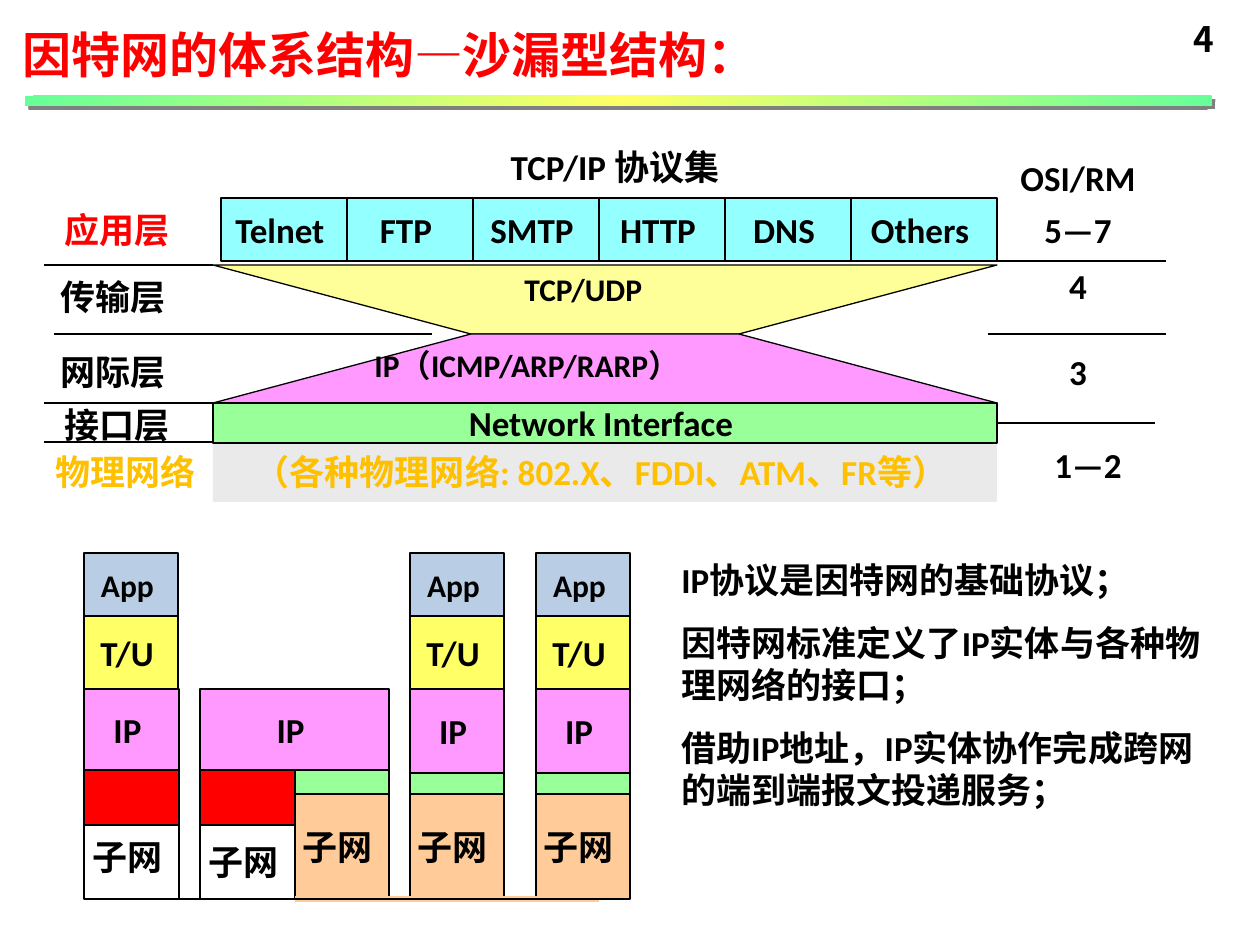
from dataclasses import dataclass
from typing import Optional

from lxml.etree import SubElement
from pptx import Presentation
from pptx.dml.color import RGBColor
from pptx.enum.shapes import MSO_CONNECTOR, MSO_SHAPE
from pptx.enum.text import MSO_ANCHOR, MSO_AUTO_SIZE, PP_ALIGN
from pptx.oxml import parse_xml
from pptx.oxml.ns import nsdecls, qn
from pptx.util import Pt

UNIT = 914400 / 126
LATIN = "Calibri"
HAN = "Noto Sans CJK SC"
BLACK = RGBColor(0x00, 0x00, 0x00)
WHITE = RGBColor(0xFF, 0xFF, 0xFF)
RED = RGBColor(0xFF, 0x00, 0x00)
GOLD = RGBColor(0xFF, 0xC0, 0x00)
CYAN = RGBColor(0x93, 0xFF, 0xFF)
CREAM = RGBColor(0xFF, 0xFF, 0x99)
LEMON = RGBColor(0xFF, 0xFF, 0x66)
PINK = RGBColor(0xFF, 0x99, 0xFF)
GREEN = RGBColor(0x99, 0xFF, 0x99)
PEACH = RGBColor(0xFF, 0xCC, 0x99)
BLUE = RGBColor(0xB9, 0xCD, 0xE5)
GREY = RGBColor(0xEA, 0xEA, 0xEA)
MINT = RGBColor(0x66, 0xFF, 0x99)
SHADE = RGBColor(0x80, 0x80, 0x80)


def px(num: int) -> int:
    return round(num * UNIT)


@dataclass
class Box:
    x: int
    y: int
    w: int
    h: int
    fill: Optional[RGBColor] = None
    text: str = ""
    size: int = 20
    ink: RGBColor = BLACK
    edge: bool = True
    face: str = LATIN


@dataclass
class Rule:
    left: int
    right: int
    y: int
    ink: RGBColor = BLACK
    width: float = 0.75


def write(para, text: str, size: int = 20, ink: RGBColor = BLACK, face: str = LATIN) -> None:
    run = para.add_run()
    run.text = text
    font = run.font
    font.size, font.bold, font.name = Pt(size), True, face
    font.color.rgb = ink
    SubElement(run._r.get_or_add_rPr(), qn("a:ea"), typeface=HAN)


def draw_box(slide, box: Box) -> None:
    shape = slide.shapes.add_shape(
        MSO_SHAPE.RECTANGLE, px(box.x), px(box.y), px(box.w), px(box.h))
    paint(shape, box.fill, box.edge and box.fill is not None)
    if box.text:
        frame = shape.text_frame
        frame.word_wrap = False
        frame.vertical_anchor = MSO_ANCHOR.MIDDLE
        para = frame.paragraphs[0]
        para.alignment = PP_ALIGN.CENTER
        write(para, box.text, box.size, box.ink, box.face)


def paint(shape, fill: Optional[RGBColor], edge: bool = True) -> None:
    shape.shadow.inherit = False
    if fill is None:
        shape.fill.background()
    else:
        shape.fill.solid()
        shape.fill.fore_color.rgb = fill
    if edge:
        shape.line.color.rgb = BLACK
        shape.line.width = Pt(0.75)
    else:
        shape.line.fill.background()


def draw_rule(slide, rule: Rule) -> None:
    line = slide.shapes.add_connector(
        MSO_CONNECTOR.STRAIGHT, px(rule.left), px(rule.y), px(rule.right), px(rule.y))
    line.line.color.rgb = rule.ink
    line.line.width = Pt(rule.width)
    SubElement(line._element.spPr, qn("a:effectLst"))


def draw_cone(slide, base: int, neck: int, fill: RGBColor) -> None:
    pen = slide.shapes.build_freeform(213, base, scale=UNIT)
    pen.add_line_segments([(997, base), (739, neck), (471, neck)], close=True)
    paint(pen.convert_to_shape(), fill)


def draw_text(slide, spot: Box, lines: list[str], gap: int = 0) -> None:
    shape = slide.shapes.add_textbox(px(spot.x), px(spot.y), px(spot.w), px(spot.h))
    frame = shape.text_frame
    frame.word_wrap = True
    for num, line in enumerate(lines):
        para = frame.add_paragraph() if num else frame.paragraphs[0]
        para.space_before = Pt(gap if num else 0)
        para.space_after = Pt(gap)
        write(para, line, spot.size)


def draw_bar(slide) -> None:
    bar = slide.shapes.add_shape(MSO_SHAPE.RECTANGLE, px(25), px(96), px(1187), px(10))
    bar.line.fill.background()
    stops = "".join(
        f'<a:gs pos="{pos}"><a:srgbClr val="{ink}"/></a:gs>'
        for pos, ink in ((0, MINT), (50000, LEMON), (100000, MINT)))
    prop = bar._element.spPr
    prop.insert(2, parse_xml(
        f'<a:gradFill {nsdecls("a")} rotWithShape="1"><a:gsLst>{stops}</a:gsLst>'
        '<a:lin ang="2700000" scaled="1"/></a:gradFill>'))
    prop.append(parse_xml(
        f'<a:effectLst {nsdecls("a")}><a:outerShdw dist="35921" dir="2700000" algn="ctr">'
        f'<a:srgbClr val="{SHADE}"/></a:outerShdw></a:effectLst>'))


def draw_title(slide) -> None:
    title = slide.shapes.title
    title.left, title.top, title.width, title.height = px(10), px(18), px(868), px(72)
    frame = title.text_frame
    frame.word_wrap = True
    frame.auto_size = MSO_AUTO_SIZE.NONE
    frame.vertical_anchor = MSO_ANCHOR.TOP
    para = frame.paragraphs[0]
    para.alignment = PP_ALIGN.LEFT
    write(para, "因特网的体系结构—沙漏型结构：", 28, RED)


def draw_glass(slide) -> None:
    draw_cone(slide, 265, 334, CREAM)
    draw_text(slide, Box(512, 264, 218, 63, size=18), ["TCP/UDP"])
    for x, y, wide, text, ink in (
            (54, 265, 126, "传输层 ", BLACK), (58, 198, 126, "应用层 ", RED),
            (49, 393, 144, "接口层 ", BLACK), (54, 340, 126, "网际层 ", BLACK),
            (67, 440, 126, "物理网络 ", GOLD), (1019, 254, 126, "4 ", BLACK),
            (1019, 198, 126, "5—7 ", BLACK), (1029, 433, 126, "1—2 ", BLACK),
            (1019, 340, 126, "3 ", BLACK), (1019, 146, 126, "OSI/RM ", BLACK),
            (504, 135, 230, "TCP/IP 协议集 ", BLACK)):
        draw_box(slide, Box(x, y, wide, 63, text=text, ink=ink))
    for left, right, y in ((988, 1155, 423), (988, 1166, 334), (988, 1166, 261)):
        draw_rule(slide, Rule(left, right, y))
    apps = ("Telnet", "FTP", "SMTP", "HTTP", "DNS", "Others")
    for num, app in enumerate(apps):
        wide = 146 if app == apps[-1] else 126
        draw_box(slide, Box(221 + 126 * num, 198, wide, 63, CYAN, f"{app} "))
    draw_box(slide, Box(213, 442, 784, 60, GREY,
                        "（各种物理网络: 802.X、FDDI、ATM、FR等） ", ink=GOLD, edge=False))
    draw_cone(slide, 403, 334, PINK)
    draw_text(slide, Box(362, 340, 500, 63, size=18), ["IP（ICMP/ARP/RARP）"])
    draw_box(slide, Box(213, 403, 784, 40, GREEN, "Network Interface "))
    for left, right, y in ((44, 213, 442), (44, 213, 403), (54, 432, 334), (44, 213, 265)):
        draw_rule(slide, Rule(left, right, y))


def draw_stacks(slide) -> None:
    draw_box(slide, Box(84, 815, 95, 84, WHITE, "子网 "))
    draw_box(slide, Box(200, 825, 95, 74, WHITE, "子网 "))
    for x, wide in ((84, 95), (200, 189)):
        draw_box(slide, Box(x, 770, 95, 55, RED))
        draw_box(slide, Box(x, 689, wide, 81, PINK, "IP "))
    for x, top in ((295, 770), (410, 773), (536, 773)):
        draw_box(slide, Box(x, 794, 94, 105, PEACH, "子网 "))
        draw_box(slide, Box(x, top, 94, 794 - top, GREEN))
    for x in (410, 536):
        draw_box(slide, Box(x, 689, 94, 84, PINK, "IP "))
    for x in (84, 410, 536):
        draw_box(slide, Box(x, 616, 94, 73, LEMON, "T/U "))
        draw_box(slide, Box(x, 553, 94, 63, BLUE, "App ", 18))
    draw_rule(slide, Rule(295, 599, 899, PEACH, 3))
    draw_rule(slide, Rule(84, 630, 899))


def main() -> None:
    deck = Presentation()
    deck.slide_width, deck.slide_height = px(1260), px(945)
    slide = deck.slides.add_slide(deck.slide_layouts[5])
    draw_title(slide)
    draw_bar(slide)
    draw_glass(slide)
    draw_stacks(slide)
    draw_text(slide, Box(669, 552, 566, 267), [
        "IP协议是因特网的基础协议；",
        "因特网标准定义了IP实体与各种物理网络的接口；",
        "借助IP地址，IP实体协作完成跨网的端到端报文投递服务；"], 6)
    draw_box(slide, Box(1182, 11, 43, 55, text="4", face=HAN))
    deck.save("out.pptx")


if __name__ == "__main__":
    main()
